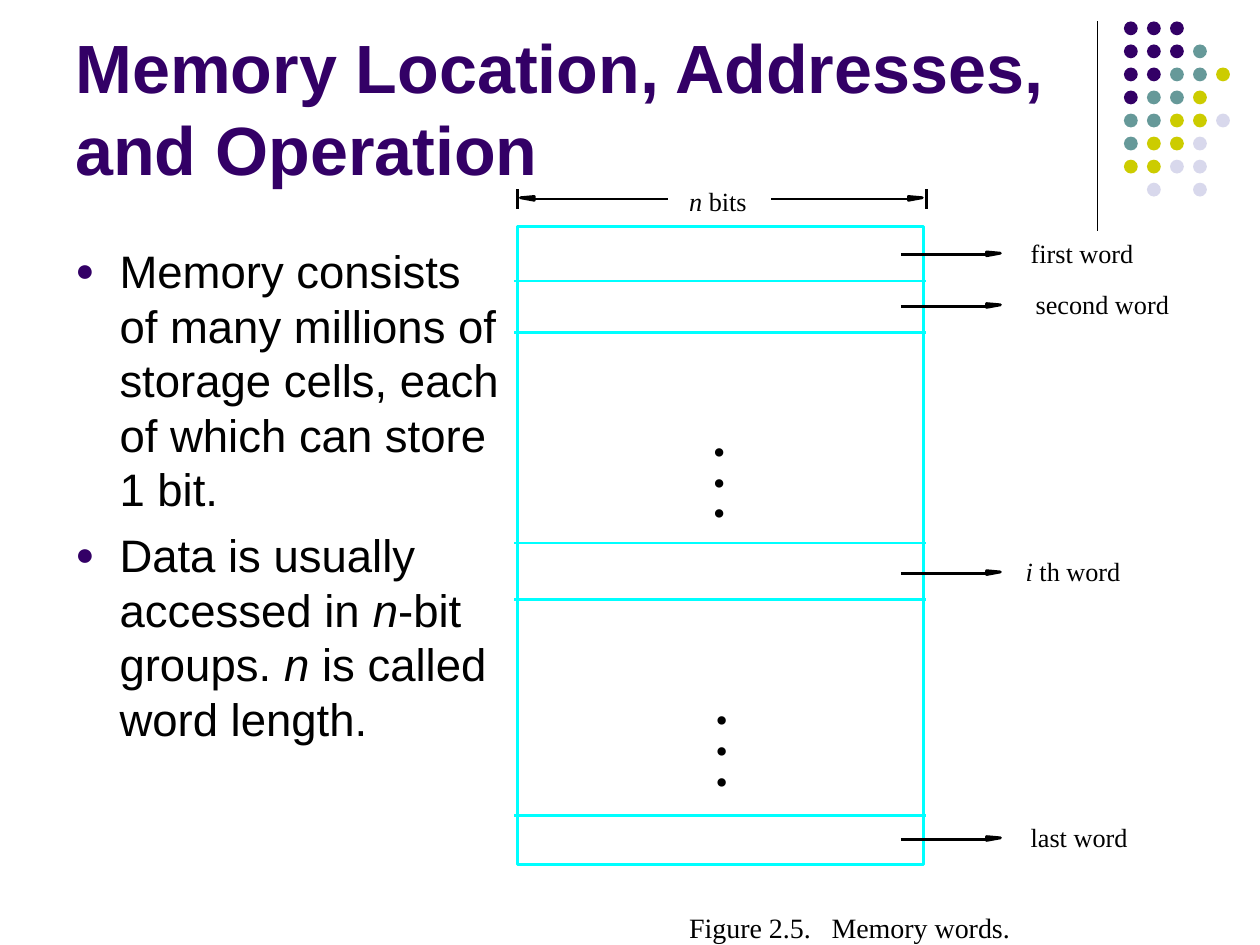
from lxml.etree import SubElement as Sub
from pptx import Presentation
from pptx.dml.color import RGBColor
from pptx.enum.shapes import MSO_CONNECTOR as Conn, MSO_SHAPE as Kind
from pptx.enum.text import MSO_ANCHOR as Anchor
from pptx.oxml.ns import qn
from pptx.util import Inches, Pt

BLACK = RGBColor(0x00, 0x00, 0x00)
PURPLE = RGBColor(0x33, 0x00, 0x66)
TEAL = RGBColor(0x66, 0x99, 0x99)
OLIVE = RGBColor(0xCC, 0xCC, 0x00)
LILAC = RGBColor(0xD8, 0xD8, 0xEC)
CYAN = RGBColor(0x00, 0xFF, 0xFF)

DOTS = ["PPP", "PPPT", "PPTTO", "PTTO", "TTOOL", "TOOL", "OOLL", " L L"]
TONES = {"P": PURPLE, "T": TEAL, "O": OLIVE, "L": LILAC}
STEP = 1.28 / 7


class Page:
    sans = "Arial"
    serif = "Times New Roman"
    thick = 1.62

    def __init__(self, slide):
        self.slide = slide
        self.shapes = slide.shapes

    def line(self, x1, y1, x2, y2, color=BLACK, width=thick):
        wire = self.shapes.add_connector(
            Conn.STRAIGHT, Inches(x1), Inches(y1), Inches(x2), Inches(y2))
        wire.line.color.rgb = color
        wire.line.width = Pt(width)
        Sub(wire._element.spPr, qn("a:effectLst"))

    def shape(self, kind, x, y, w, h, fill=None, edge=None):
        item = self.shapes.add_shape(
            kind, Inches(x), Inches(y), Inches(w), Inches(h))
        self.paint(item, fill, edge)

    def paint(self, item, fill, edge):
        item.shadow.inherit = False
        if fill is None:
            item.fill.background()
        else:
            item.fill.solid()
            item.fill.fore_color.rgb = fill
        if edge is None:
            item.line.fill.background()
        else:
            item.line.color.rgb = edge
            item.line.width = Pt(self.thick)

    def arrow(self, tail, tip, y):
        """Draw a shaft from tail with a slim solid head ending at tip."""
        neck = tip - 0.11 if tip > tail else tip + 0.11
        self.line(tail, y, neck, y)
        spots = [(neck, y - 0.02), (tip, y - 0.01), (neck, y + 0.01)]
        spots = [(Inches(a), Inches(b)) for a, b in spots]
        form = self.shapes.build_freeform(*spots[0])
        form.add_line_segments(spots[1:], close=True)
        self.paint(form.convert_to_shape(), BLACK, BLACK)

    def text(self, x, y, w, h, paras, size, font=serif, color=BLACK,
             bold=False, inset=False, wrap=False, anchor=Anchor.TOP):
        """Each paragraph is a list of runs; a run starting with / is italic."""
        box = self.shapes.add_textbox(
            Inches(x), Inches(y), Inches(w), Inches(h))
        frame = box.text_frame
        frame.word_wrap = wrap
        frame.vertical_anchor = anchor
        if not inset:
            frame.margin_left = frame.margin_right = 0
            frame.margin_top = frame.margin_bottom = 0
        for i, runs in enumerate(paras):
            para = frame.paragraphs[0] if i == 0 else frame.add_paragraph()
            for words in runs:
                run = para.add_run()
                run.text = words.lstrip("/")
                face = run.font
                face.name, face.size, face.bold = font, Pt(size), bold
                face.italic = words.startswith("/")
                face.color.rgb = color
        return frame.paragraphs

    def bullet(self, para):
        props = para._p.get_or_add_pPr()
        props.set("marL", str(Inches(0.35)))
        props.set("indent", str(Inches(-0.35)))
        tint = Sub(props, qn("a:buClr"))
        Sub(tint, qn("a:srgbClr"), val=str(PURPLE))
        Sub(props, qn("a:buSzPct"), val="70000")
        Sub(props, qn("a:buFont"), typeface=self.sans)
        Sub(props, qn("a:buChar"), char="●")

    def tab(self, para, x):
        stops = Sub(para._p.get_or_add_pPr(), qn("a:tabLst"))
        Sub(stops, qn("a:tab"), pos=str(Inches(x)), algn="l")


def corner(page):
    page.line(8.71, 0.17, 8.71, 1.83, width=0.75)
    for row, marks in enumerate(DOTS):
        for col, mark in enumerate(marks):
            if mark in TONES:
                page.shape(Kind.OVAL, 8.92 + col * STEP, 0.17 + row * STEP,
                           0.11, 0.11, TONES[mark])


def words(page):
    page.text(0.5, 0.13, 8.25, 1.42,
              [["Memory Location, Addresses, and Operation"]], 39,
              page.sans, PURPLE, bold=True, inset=True, wrap=True,
              anchor=Anchor.BOTTOM)
    body = page.text(0.5, 1.88, 3.58, 4.82, [
        ["Memory consists of many millions of storage cells, "
         "each of which can store 1 bit."],
        ["Data is usually accessed in ", "/n", "-bit groups. ", "/n",
         " is called word length."],
    ], 26, page.sans, inset=True, wrap=True)
    for para in body:
        page.bullet(para)
    body[1].space_before = Pt(6.5)


def memory(page):
    for y in (2.23, 2.64, 4.31, 4.76, 6.47):
        page.line(4.08, y, 7.35, y, CYAN)
    page.shape(Kind.RECTANGLE, 4.11, 1.8, 3.22, 5.06, edge=CYAN)

    for x in (4.11, 7.35):
        page.line(x, 1.5, x, 1.66)
    page.arrow(5.3, 4.13, 1.58)
    page.arrow(6.12, 7.32, 1.58)
    page.text(5.47, 1.47, 0.6, 0.25, [["/n", " bits"]], 15)

    for y, x, w, runs in (
        (2.02, 8.18, 0.95, ["first word"]),
        (2.43, 8.22, 1.2, ["second word"]),
        (4.55, 8.14, 0.95, ["/i", " th word"]),
        (6.66, 8.18, 0.95, ["last word"]),
    ):
        page.arrow(7.15, 7.94, y)
        page.text(x, y - 0.14, w, 0.25, [runs], 15)

    for x, y in ((5.66, 3.5), (5.68, 5.63)):
        for para in page.text(x, y, 0.1, 0.73, [["•"]] * 3, 20):
            para.line_spacing = Pt(17.5)

    note = page.text(5.47, 7.23, 2.7, 0.27,
                     [["Figure 2.5.\tMemory words."]], 16)
    page.tab(note[0], 1.13)


def main():
    deck = Presentation()
    deck.slide_width, deck.slide_height = Inches(10), Inches(7.5)
    page = Page(deck.slides.add_slide(deck.slide_layouts[6]))
    corner(page)
    words(page)
    memory(page)
    deck.save("out.pptx")


if __name__ == "__main__":
    main()
